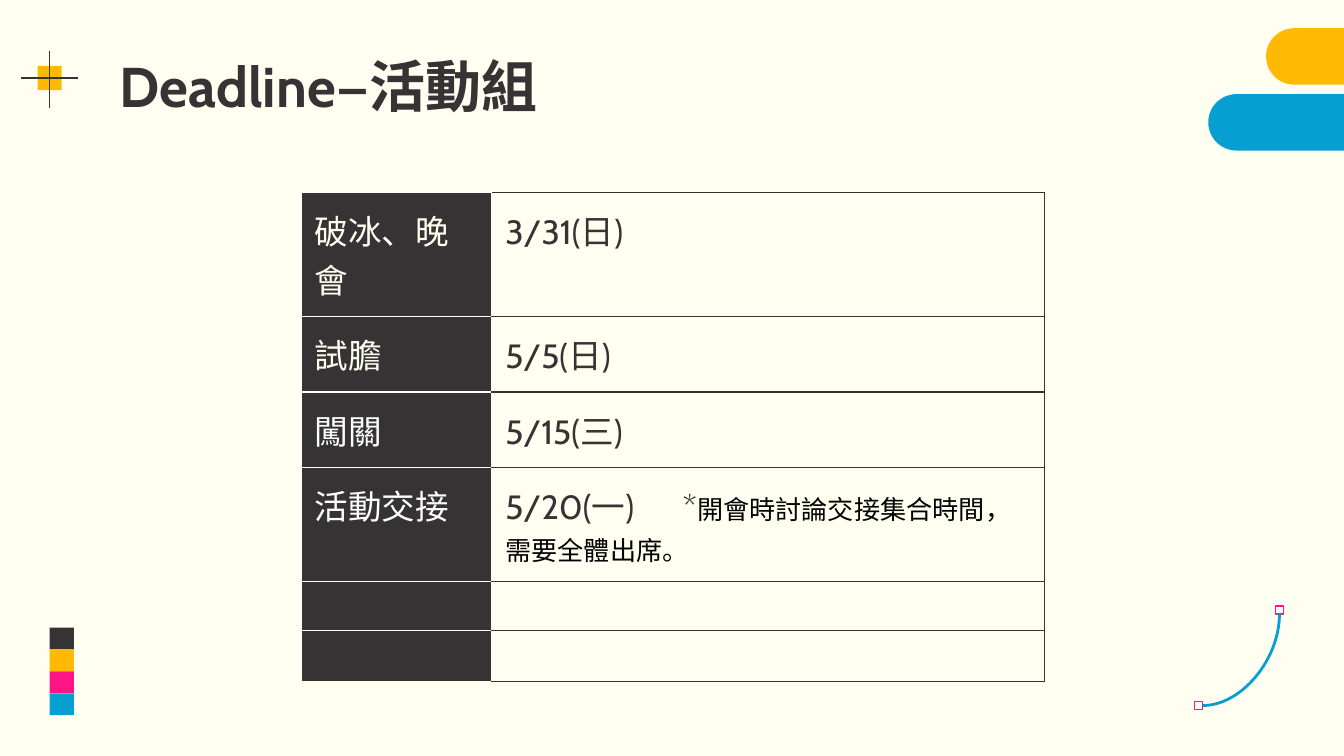
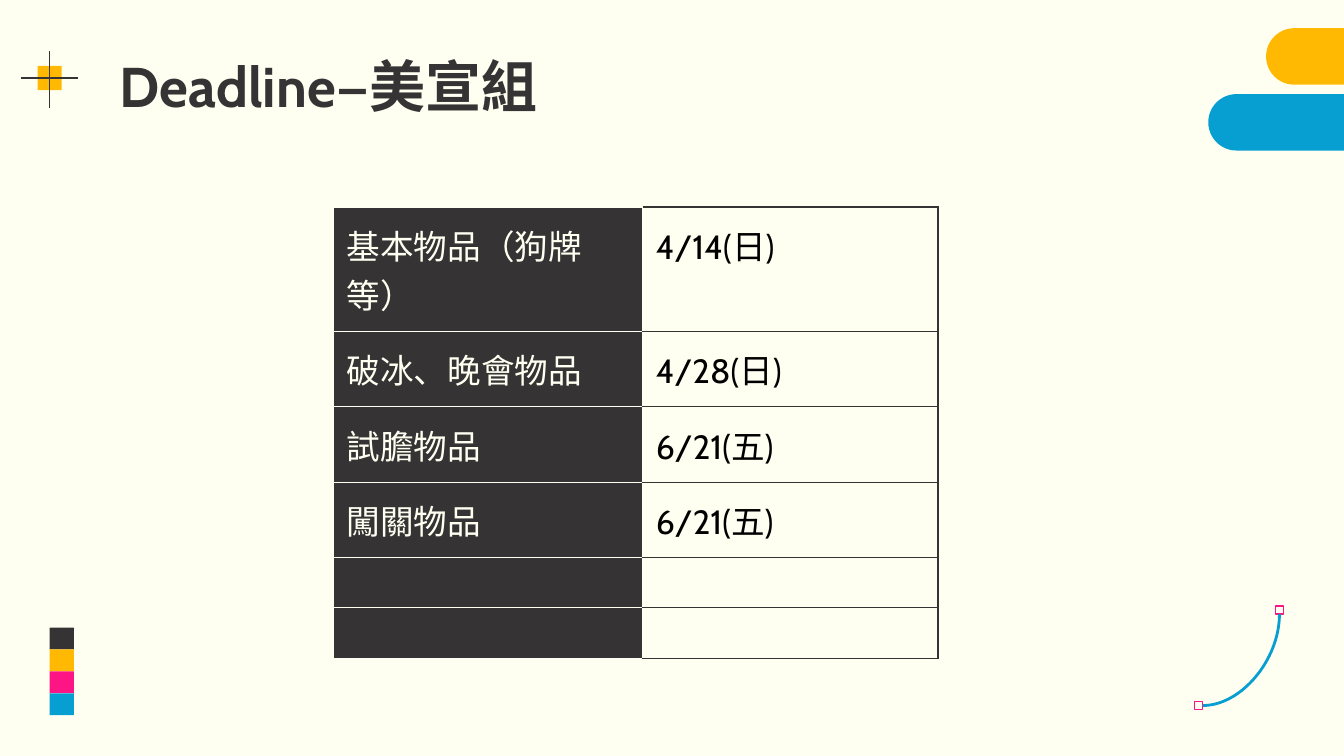
from dataclasses import dataclass
from typing import NamedTuple

from lxml.etree import SubElement
from pptx import Presentation
from pptx.dml.color import RGBColor
from pptx.enum.shapes import MSO_CONNECTOR as Link, MSO_SHAPE as Preset
from pptx.enum.text import MSO_ANCHOR, MSO_AUTO_SIZE, PP_ALIGN
from pptx.oxml.ns import qn
from pptx.util import Emu, Inches, Pt


@dataclass(frozen=True)
class Theme:
    cream: str = "FFFFF1"
    ink: str = "353334"
    yellow: str = "FFB903"
    pink: str = "FD1485"
    blue: str = "079ED2"
    white: str = "FFFFFF"
    black: str = "000000"
    font: str = "Cabin"
    note_font: str = "Arial"
    title_size: float = 30
    cell_size: float = 18
    note_size: float = 14
    hairline: float = 0.75
    curve_line: float = 1.5


THEME = Theme()
COLUMNS = 100
PAGE_WIDTH, PAGE_HEIGHT = Inches(10), Inches(5.625)
UNIT = PAGE_WIDTH // COLUMNS  # columns and rows share one square unit
INSET = 1
SPACE_AFTER = Pt(16)
NOTE_TAB = 13.2


class Box(NamedTuple):
    column: float
    row: float
    columns: float
    rows: float


class Block(NamedTuple):
    preset: Preset
    box: Box
    fill: str | None = None
    line: str | None = None


class Stroke(NamedTuple):
    kind: Link
    start: tuple[float, float]
    end: tuple[float, float]
    color: str
    width: float


class Entry(NamedTuple):
    label: str = ""
    date: str = ""
    rows: float = 5.6
    label_color: str = THEME.cream
    note: str = ""


@dataclass(frozen=True)
class Schedule:
    title: str
    column: float
    row: float
    widths: tuple[float, float]
    date_color: str
    entries: tuple[Entry, ...]


TITLE_BOX = Box(7.9, 2.8, 84.3, 6.3)
SWATCH_STEP = 1.63
BLOCKS = (
    *(Block(Preset.RECTANGLE, Box(column, row, 0.6, 0.6), line=THEME.pink)
      for column, row in ((88.9, 52.2), (94.9, 45.1))),
    Block(Preset.RECTANGLE, Box(2.8, 4.9, 1.8, 1.8), THEME.yellow),
    Block(Preset.ROUNDED_RECTANGLE, Box(94.2, 2.1, 16.5, 4.2), THEME.yellow),
    Block(Preset.ROUNDED_RECTANGLE, Box(89.9, 7, 16.5, 4.2), THEME.blue),
    *(Block(Preset.RECTANGLE, Box(3.7, 46.7 + index * SWATCH_STEP, 1.8, SWATCH_STEP), color)
      for index, color in enumerate((THEME.ink, THEME.yellow, THEME.pink, THEME.blue))),
)
STROKES = (
    Stroke(Link.CURVE, (89.5, 52.5), (95.2, 45.7), THEME.blue, THEME.curve_line),
    Stroke(Link.STRAIGHT, (3.7, 3.8), (3.7, 8), THEME.ink, THEME.hairline),
    Stroke(Link.STRAIGHT, (5.8, 5.8), (1.6, 5.8), THEME.ink, THEME.hairline),
)
SPARE_ENTRIES = (Entry(rows=3.7), Entry(rows=3.8))
SCHEDULES = (
    Schedule("Deadline—活動組", 22.4, 14.3, (14.2, 41.1), THEME.ink, (
        Entry("破冰、晚會", "3/31(日)", 9.2),
        Entry("試膽", "5/5(日)"),
        Entry("闖關", "5/15(三)", label_color=THEME.white),
        Entry("活動交接", "5/20(一)\t*", 8.4, THEME.white,
              "開會時討論交接集合時間，需要全體出席。"),
        *SPARE_ENTRIES)),
    Schedule("Deadline—美宣組", 24.8, 15.4, (23, 22), THEME.black, (
        Entry("基本物品（狗牌等）", "4/14(日)", 9.2),
        Entry("破冰、晚會物品", "4/28(日)"),
        Entry("試膽物品", "6/21(五)"),
        Entry("闖關物品", "6/21(五)"),
        *SPARE_ENTRIES)),
)


def grid(*lengths: float) -> list[Emu]:
    """Turn grid lengths into slide lengths."""
    return [Emu(round(length * UNIT)) for length in lengths]


def rgb(color: str) -> RGBColor:
    return RGBColor.from_string(color)


def style(font, size: float, color: str, name: str = THEME.font) -> None:
    font.name, font.size = name, Pt(size)
    font.color.rgb = rgb(color)


def paint(fill, color: str | None) -> None:
    if color:
        fill.solid()
        fill.fore_color.rgb = rgb(color)
    else:
        fill.background()


def draw_block(page, block: Block) -> None:
    shape = page.shapes.add_shape(block.preset, *grid(*block.box))
    shape.shadow.inherit = False
    if block.preset == Preset.ROUNDED_RECTANGLE:
        shape.adjustments[0] = 0.5
    paint(shape.fill, block.fill)
    paint(shape.line.fill, block.line)
    if block.line:
        shape.line.width = Pt(THEME.hairline)


def draw_stroke(page, stroke: Stroke) -> None:
    connector = page.shapes.add_connector(stroke.kind, *grid(*stroke.start, *stroke.end))
    connector.line.color.rgb = rgb(stroke.color)
    connector.line.width = Pt(stroke.width)
    properties = connector._element.spPr
    SubElement(properties, qn("a:effectLst"))
    if stroke.kind == Link.CURVE:
        properties.find(qn("a:prstGeom")).set("prst", "curvedConnector2")


def prepare_layout(deck):
    """Set the background and title frame that every page inherits."""
    paint(deck.slide_master.background.fill, THEME.cream)
    layout = deck.slide_layouts.get_by_name("Title Only")
    for holder in list(layout.placeholders):
        if holder.placeholder_format.idx:
            holder._element.getparent().remove(holder._element)
    title = layout.placeholders[0]
    title.left, title.top, title.width, title.height = grid(*TITLE_BOX)
    frame = title.text_frame
    frame.auto_size, frame.word_wrap = MSO_AUTO_SIZE.NONE, True
    frame.vertical_anchor = MSO_ANCHOR.TOP
    (frame.margin_left, frame.margin_top,
     frame.margin_right, frame.margin_bottom) = grid(*[INSET] * 4)
    return layout


def decorate_layout(layout, page) -> None:
    """Draw the ornaments on a page, then hand them to its layout."""
    for block in BLOCKS:
        draw_block(page, block)
    for stroke in STROKES:
        draw_stroke(page, stroke)
    for shape in list(page.shapes):
        if not shape.is_placeholder:
            layout.shapes._spTree.append(shape._element)


def set_borders(cell, **colors: str) -> None:
    properties = cell._tc.get_or_add_tcPr()
    for side in "LRTB":
        line = SubElement(properties, qn(f"a:ln{side}"), w=str(Pt(THEME.hairline)))
        SubElement(SubElement(line, qn("a:solidFill")), qn("a:srgbClr"),
                   val=colors.get(side, THEME.cream))


def fill_cell(cell, text: str, color: str, fill: str | None):
    """Format a table cell and return its paragraph."""
    paint(cell.fill, fill)
    cell.margin_left, cell.margin_right = grid(INSET, INSET)
    cell.margin_top, cell.margin_bottom = grid(*[INSET if text else 0] * 2)
    para = cell.text_frame.paragraphs[0]
    if text:
        para.add_run().text = text
        if "\t" in text:
            tabs = SubElement(para._p.get_or_add_pPr(), qn("a:tabLst"))
            SubElement(tabs, qn("a:tab"), pos=str(grid(NOTE_TAB)[0]), algn="l")
        style(para.font, THEME.cell_size, color)
    return para


def add_schedule(page, schedule: Schedule) -> None:
    entries = schedule.entries
    box = Box(schedule.column, schedule.row, sum(schedule.widths),
              sum(entry.rows for entry in entries))
    table = page.shapes.add_table(len(entries), len(schedule.widths), *grid(*box)).table
    table.first_row = table.horz_banding = False
    for column, width in zip(table.columns, grid(*schedule.widths)):
        column.width = width
    for row, entry in zip(table.rows, entries):
        row.height = grid(entry.rows)[0]
        label, date = row.cells
        set_borders(label)
        fill_cell(label, entry.label, entry.label_color, THEME.ink)
        set_borders(date, R=THEME.ink, T=THEME.ink, B=THEME.ink)
        para = fill_cell(date, entry.date, schedule.date_color, None)
        if entry.date:
            para.space_after = SPACE_AFTER
        if entry.note:
            span = para.add_run()
            span.text = entry.note
            style(span.font, THEME.note_size, THEME.black, THEME.note_font)


def add_page(deck, layout, schedule: Schedule):
    page = deck.slides.add_slide(layout)
    page.shapes.title.text = schedule.title
    para = page.shapes.title.text_frame.paragraphs[0]
    para.alignment = PP_ALIGN.LEFT
    style(para.font, THEME.title_size, THEME.ink)
    para.font.bold = True
    return page


def main() -> None:
    deck = Presentation()
    deck.slide_width, deck.slide_height = PAGE_WIDTH, PAGE_HEIGHT
    layout = prepare_layout(deck)
    pages = [add_page(deck, layout, schedule) for schedule in SCHEDULES]
    decorate_layout(layout, pages[0])
    for page, schedule in zip(pages, SCHEDULES):
        add_schedule(page, schedule)
    deck.save("out.pptx")


if __name__ == "__main__":
    main()
